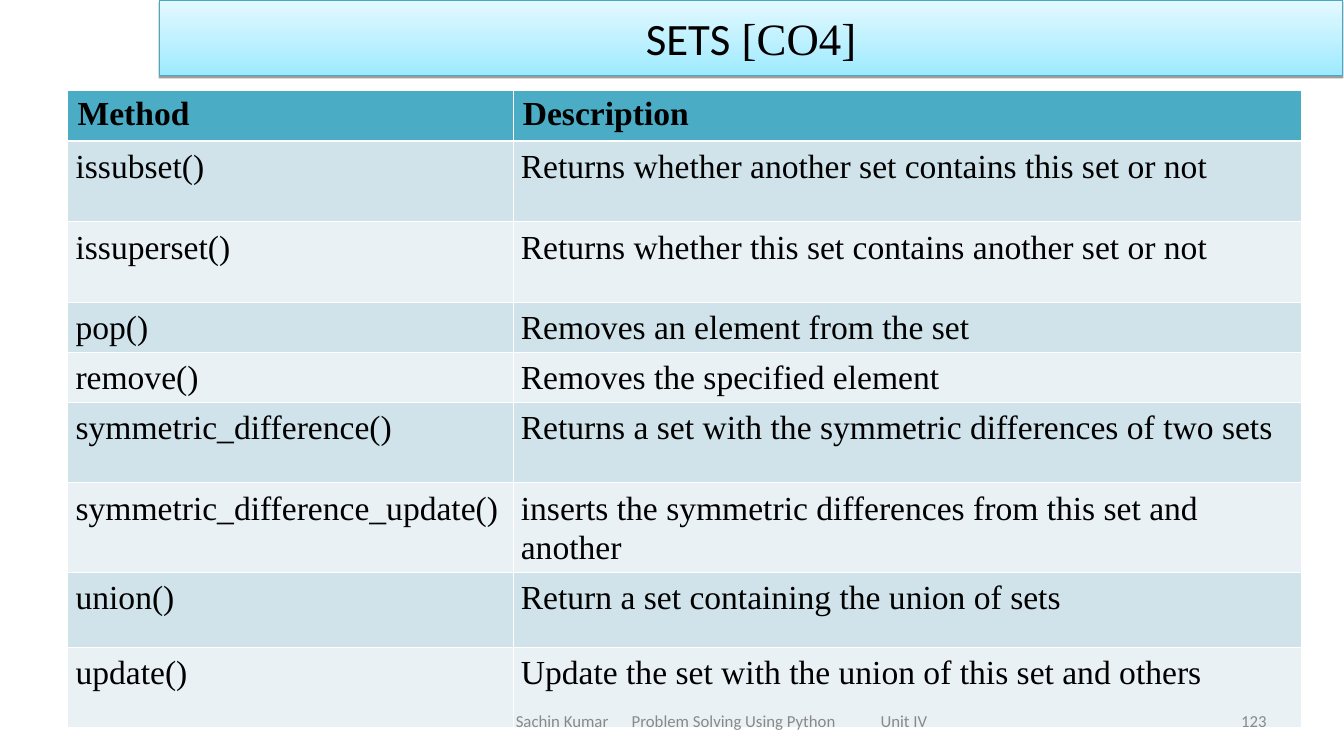
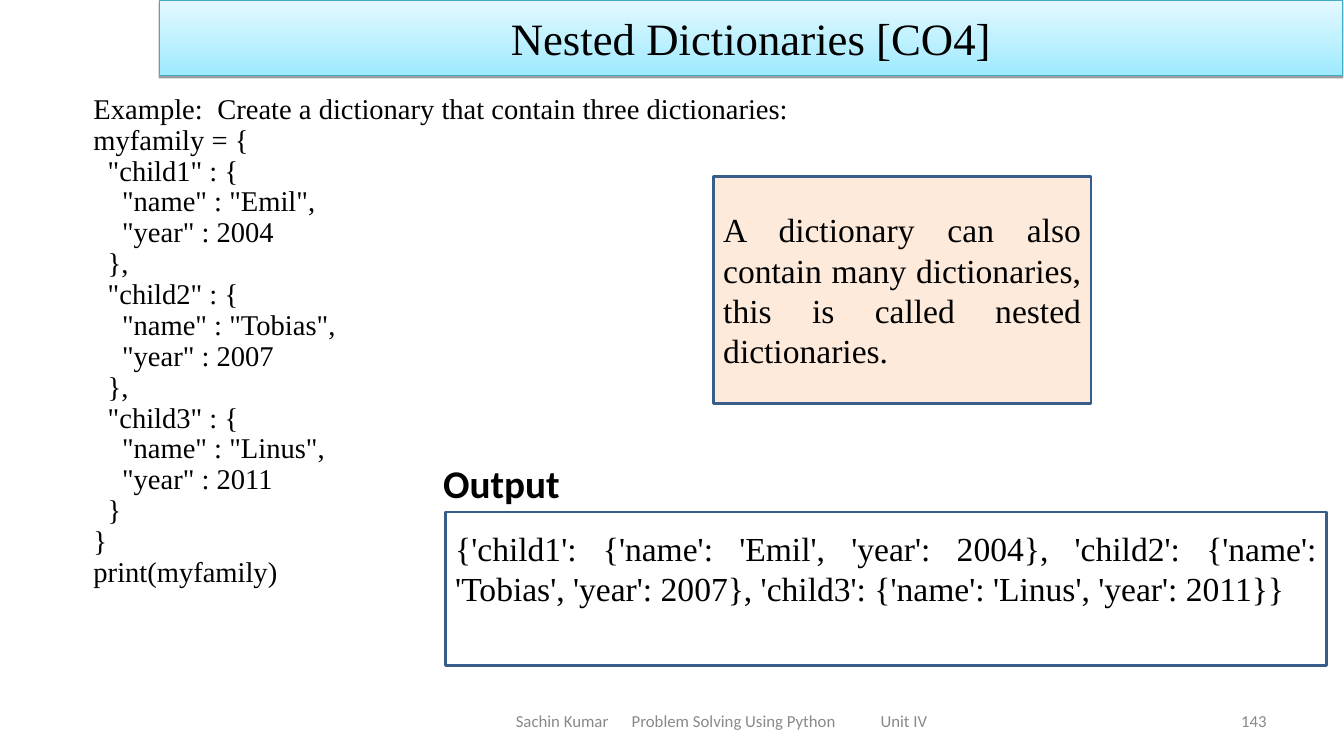
from dataclasses import dataclass

from lxml.etree import SubElement
from pptx import Presentation
from pptx.dml.color import RGBColor
from pptx.enum.shapes import MSO_SHAPE
from pptx.enum.text import MSO_ANCHOR, PP_ALIGN
from pptx.oxml.ns import qn
from pptx.util import Emu, Inches, Pt

COLORS = {
    "text": "000000",
    "footer": "898989",
    "title_low": "9EEAFF",
    "title_high": "E4F9FF",
    "title_line": "46AAC5",
    "box_line": "385D8A",
    "white": "FFFFFF",
    "peach": "FDEADA",
    "head": "4BACC6",
    "band_dark": "D0E3EA",
    "band_light": "E9F1F5",
}
SERIF = "Times New Roman"
SANS = "Calibri"

FOOTER = "Sachin Kumar\tProblem Solving Using Python\tUnit IV"
FOOTER_TABS = (1.15, 3.62)

METHODS = [
    ("Method", "Description", 0.5),
    ("issubset()", "Returns whether another set contains this set or not", 0.8),
    ("issuperset()", "Returns whether this set contains another set or not", 0.8),
    ("pop()", "Removes an element from the set", 0.43),
    ("remove()", "Removes the specified element", 0.43),
    ("symmetric_difference()", "Returns a set with the symmetric differences of two sets", 0.8),
    ("symmetric_difference_update()", "inserts the symmetric differences from this set and another", 0.86),
    ("union()", "Return a set containing the union of sets", 0.74),
    ("update()", "Update the set with the union of this set and others", 0.8),
]
COLUMN_WIDTHS = (4.42, 7.83)

CODE = """Example:\tCreate a dictionary that contain three dictionaries:
myfamily = {
  "child1" : {
    "name" : "Emil",
    "year" : 2004
  },
  "child2" : {
    "name" : "Tobias",
    "year" : 2007
  },
  "child3" : {
    "name" : "Linus",
    "year" : 2011
  }
}
print(myfamily)"""
NESTED_NOTE = "A dictionary can also contain many dictionaries, this is called nested dictionaries."
OUTPUT = (
    "{'child1': {'name': 'Emil', 'year': 2004}, 'child2': {'name': 'Tobias', 'year': 2007}, "
    "'child3': {'name': 'Linus', 'year': 2011}}"
)


@dataclass(frozen=True)
class Box:
    left: float
    top: float
    width: float
    height: float

    def lengths(self) -> tuple:
        return tuple(Inches(v) for v in (self.left, self.top, self.width, self.height))


@dataclass(frozen=True)
class TextStyle:
    size: float
    font: str = SERIF
    color: str = "text"
    bold: bool = False
    align: PP_ALIGN = PP_ALIGN.LEFT
    spacing: float = 1.0


BODY = TextStyle(24, align=PP_ALIGN.JUSTIFY)
TITLE = TextStyle(32, align=PP_ALIGN.CENTER)
CODE_STYLE = TextStyle(20.4, align=PP_ALIGN.JUSTIFY, spacing=0.9)
FOOTER_STYLE = TextStyle(12, SANS, "footer")
PAGE_STYLE = TextStyle(12, SANS, "footer", align=PP_ALIGN.RIGHT)
HEAD_CELL = TextStyle(24, bold=True)
BODY_CELL = TextStyle(24, spacing=1.07)


def rgb(name: str) -> RGBColor:
    return RGBColor.from_string(COLORS[name])


def format_run(r, style: TextStyle) -> None:
    r.font.size = Pt(style.size)
    r.font.name = style.font
    r.font.bold = style.bold
    r.font.color.rgb = rgb(style.color)


def write(tf, text: str, style: TextStyle) -> None:
    tf.text = text
    for p in tf.paragraphs:
        p.alignment = style.align
        p.line_spacing = style.spacing
        for r in p.runs:
            format_run(r, style)


def add_tabs(p, stops: tuple) -> None:
    tabs = SubElement(p._p.get_or_add_pPr(), qn("a:tabLst"))
    for stop in stops:
        SubElement(tabs, qn("a:tab"), pos=str(Inches(stop)), algn="l")


def add_text(s, box: Box, text: str, style: TextStyle, anchor=MSO_ANCHOR.TOP):
    tf = s.shapes.add_textbox(*box.lengths()).text_frame
    tf.word_wrap = True
    tf.vertical_anchor = anchor
    write(tf, text, style)
    return tf


def add_rect(s, box: Box, line: str, line_width: float):
    sp = s.shapes.add_shape(MSO_SHAPE.RECTANGLE, *box.lengths())
    sp.shadow.inherit = False
    sp.line.color.rgb = rgb(line)
    sp.line.width = Pt(line_width)
    sp.text_frame.word_wrap = True
    sp.text_frame.vertical_anchor = MSO_ANCHOR.MIDDLE
    return sp


def add_panel(s, box: Box, fill: str, text: str):
    sp = add_rect(s, box, "box_line", 2)
    sp.fill.solid()
    sp.fill.fore_color.rgb = rgb(fill)
    write(sp.text_frame, text, BODY)
    return sp.text_frame


def add_title(s, parts: list) -> None:
    sp = add_rect(s, Box(1.58, 0, 11.75, 0.75), "title_line", 0.75)
    sp.fill.gradient()
    sp.fill.gradient_angle = 90
    for stop, name in zip(sp.fill.gradient_stops, ("title_low", "title_high")):
        stop.color.rgb = rgb(name)
    # Hard shadow below the band
    effects = sp._element.spPr.find(qn("a:effectLst"))
    shadow = SubElement(effects, qn("a:outerShdw"), blurRad="0", dist=str(Pt(1.6)),
                        dir="5400000", rotWithShape="0")
    tint = SubElement(shadow, qn("a:srgbClr"), val=COLORS["text"])
    SubElement(tint, qn("a:alpha"), val="38000")
    p = sp.text_frame.paragraphs[0]
    p.alignment = TITLE.align
    for text, font in parts:
        r = p.add_run()
        r.text = text
        format_run(r, TITLE)
        r.font.name = font


def add_frame(s, title: list, page: int) -> None:
    """Page number, title band and footer."""
    add_text(s, Box(9.56, 6.95, 3.11, 0.4), str(page), PAGE_STYLE, MSO_ANCHOR.MIDDLE)
    add_title(s, title)
    tf = add_text(s, Box(4.42, 6.95, 5.5, 0.4), FOOTER, FOOTER_STYLE, MSO_ANCHOR.MIDDLE)
    tf.margin_left = Inches(0.7)
    add_tabs(tf.paragraphs[0], FOOTER_TABS)


def add_borders(cell, row: int) -> None:
    heavy = {0: "lnB", 1: "lnT"}.get(row)
    for side in ("lnL", "lnR", "lnT", "lnB"):
        width = Pt(1.47 if side == heavy else 0.45)
        ln = SubElement(cell._tc.get_or_add_tcPr(), qn(f"a:{side}"), w=str(Emu(width)))
        fill = SubElement(ln, qn("a:solidFill"))
        SubElement(fill, qn("a:srgbClr"), val=COLORS["white"])


def add_method_table(s) -> None:
    box = Box(0.67, 0.9, sum(COLUMN_WIDTHS), sum(row[2] for row in METHODS))
    table = s.shapes.add_table(len(METHODS), len(COLUMN_WIDTHS), *box.lengths()).table
    table.first_row = table.horz_banding = False
    for column, width in zip(table.columns, COLUMN_WIDTHS):
        column.width = Inches(width)
    for i, (method, description, height) in enumerate(METHODS):
        table.rows[i].height = Inches(height)
        fill = "head" if i == 0 else ("band_light", "band_dark")[i % 2]
        for j, text in enumerate((method, description)):
            cell = table.cell(i, j)
            add_borders(cell, i)
            cell.fill.solid()
            cell.fill.fore_color.rgb = rgb(fill)
            cell.margin_left = cell.margin_right = Inches(0.08 if i else 0.1)
            write(cell.text_frame, text, BODY_CELL if i else HEAD_CELL)


def build_sets(s) -> None:
    add_method_table(s)
    add_frame(s, [("SETS", SANS), (" [CO4]", SERIF)], 123)


def build_nested(s) -> None:
    tf = add_text(s, Box(0.83, 0.89, 11.83, 5.91), CODE, CODE_STYLE)
    add_tabs(tf.paragraphs[0], (1.23,))
    add_frame(s, [("Nested Dictionaries [CO4]", SERIF)], 143)
    # Output and explanation
    tf = add_panel(s, Box(4.42, 5.08, 8.75, 1.52), "white", OUTPUT)
    tf.margin_bottom = Inches(0.46)
    add_panel(s, Box(7.08, 1.75, 3.75, 2.25), "peach", NESTED_NOTE)
    add_text(s, Box(4.3, 4.51, 1.62, 0.57), "Output", TextStyle(28, SANS, bold=True))


def main() -> None:
    prs = Presentation()
    prs.slide_width, prs.slide_height = Inches(13.34), Inches(7.5)
    for build in (build_sets, build_nested):
        build(prs.slides.add_slide(prs.slide_layouts[6]))
    prs.save("out.pptx")


if __name__ == "__main__":
    main()
